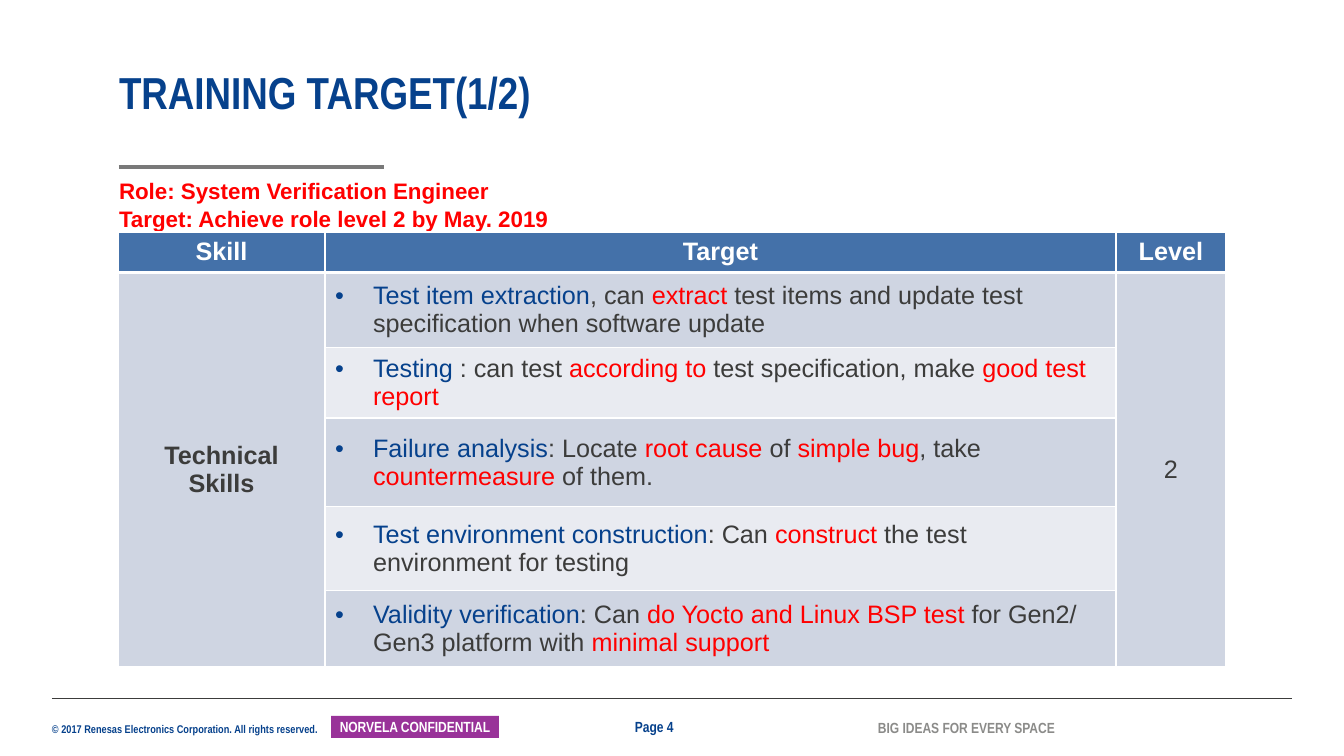
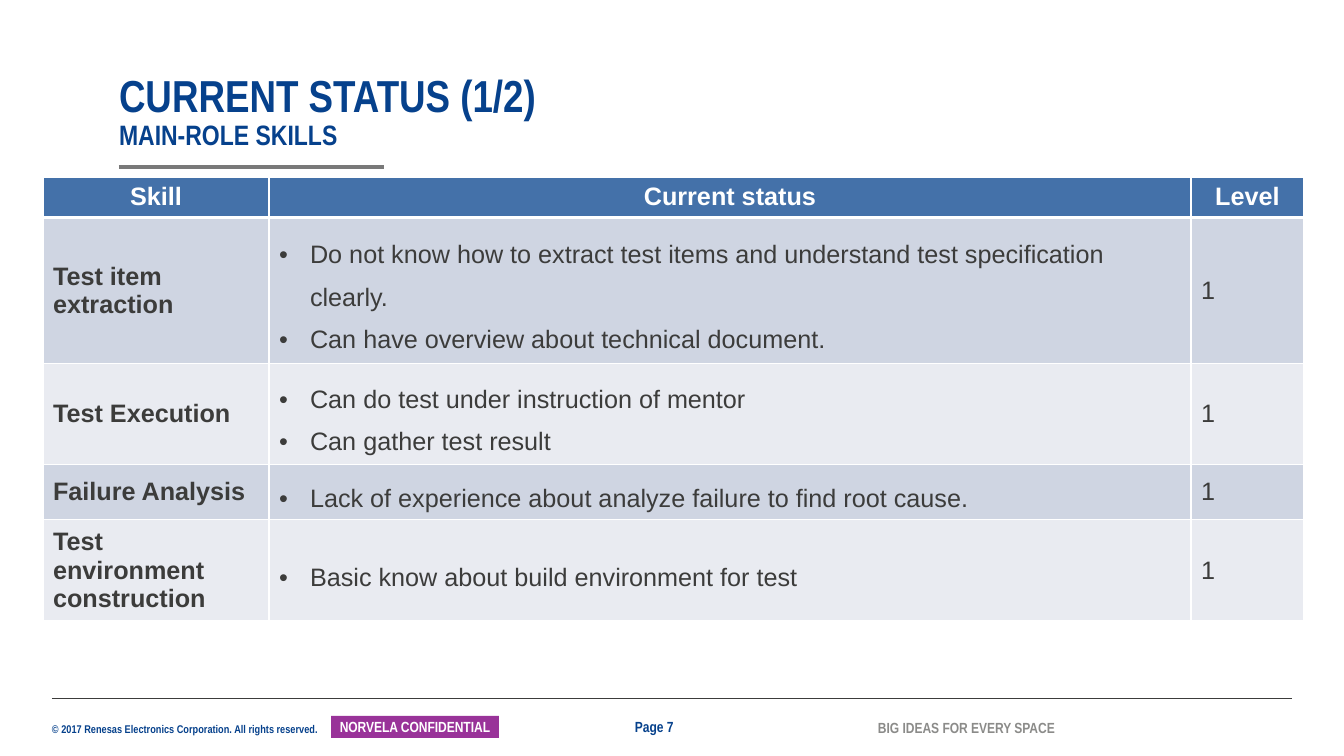
from lxml import etree
from pptx import Presentation
from pptx.dml.color import RGBColor
from pptx.enum.shapes import MSO_CONNECTOR, MSO_SHAPE
from pptx.enum.text import MSO_ANCHOR, PP_ALIGN
from pptx.oxml.ns import qn
from pptx.util import Emu, Pt

LEFT, CENTER = PP_ALIGN.LEFT, PP_ALIGN.CENTER
TOP, MIDDLE, BOTTOM = MSO_ANCHOR.TOP, MSO_ANCHOR.MIDDLE, MSO_ANCHOR.BOTTOM
STRAIGHT, RECTANGLE = MSO_CONNECTOR.STRAIGHT, MSO_SHAPE.RECTANGLE
PX = 914400 / 100.8
NARROW = "Arial Narrow"
COLORS = {
    "blue": "06418C", "red": "FF0000", "dark": "3C3C3B", "white": "FFFFFF",
    "gray": "8B8B89", "rule": "797979", "purple": "993399",
    "header": "4471A9", "band": "CFD5E2", "light": "E9EBF1",
}


def px(*lengths):
    return [Emu(round(length * PX)) for length in lengths]


def write(frame, paragraphs, size=18, color="dark", bold=False, font="Arial",
          align=LEFT, anchor=MIDDLE, spacing=None, before=0, bullet=0,
          inset=None, wrap=True):
    frame.word_wrap = wrap
    frame.vertical_anchor = anchor
    if inset is not None:
        frame.margin_left, frame.margin_right = px(inset, inset)
        frame.margin_top = frame.margin_bottom = 0
    for index, content in enumerate(paragraphs):
        paragraph = frame.add_paragraph() if index else frame.paragraphs[0]
        if bullet:
            properties = paragraph._p.get_or_add_pPr()
            indent = px(bullet)[0]
            properties.set("marL", str(indent))
            properties.set("indent", str(-indent))
            etree.SubElement(properties, qn("a:buFont")).set("typeface", "Arial")
            etree.SubElement(properties, qn("a:buChar")).set("char", "•")
        paragraph.alignment = align
        if spacing:
            paragraph.line_spacing = spacing
        if index and before:
            paragraph.space_before = Pt(before)
        runs = [(content, color)] if isinstance(content, str) else content
        for text, run_color in runs:
            run = paragraph.add_run()
            run.text = text
            run.font.size = Pt(size)
            run.font.bold = bold
            run.font.name = font
            run.font.color.rgb = RGBColor.from_string(COLORS[run_color])


SLIDES = [
    {
        "title": ["TRAINING TARGET(1/2)"],
        "title_height": 46,
        "page": "Page 4",
        "role": ["Role: System Verification Engineer",
                 "Target: Achieve role level 2 by May. 2019"],
        "origin": (118, 232),
        "columns": [207, 791, 110],
        "heights": [39, 75, 67, 89, 84, 76],
        "header": ["Skill", "Target", "Level"],
        "align": CENTER,
        "bullet": 38,
        "spacing": None,
        "merged": True,
        "rows": [
            ("Technical Skills",
             [[("Test item extraction", "blue"), (", can ", "dark"), ("extract ", "red"),
               ("test items and update test specification when software update", "dark")]],
             "2"),
            (None,
             [[("Testing", "blue"), (" : can test ", "dark"), ("according to", "red"),
               (" test specification, make ", "dark"), ("good test report", "red")]],
             None),
            (None,
             [[("Failure analysis", "blue"), (": Locate ", "dark"), ("root cause ", "red"),
               ("of ", "dark"), ("simple bug", "red"), (", take ", "dark"),
               ("countermeasure", "red"), (" of them.", "dark")]],
             None),
            (None,
             [[("Test environment construction", "blue"), (": Can ", "dark"),
               ("construct", "red"), (" the test environment for testing", "dark")]],
             None),
            (None,
             [[("Validity verification", "blue"), (": Can ", "dark"),
               ("do Yocto and Linux BSP test", "red"),
               (" for Gen2/ Gen3 platform with ", "dark"), ("minimal support", "red")]],
             None),
        ],
    },
    {
        "title": ["CURRENT STATUS (1/2)", "MAIN-ROLE SKILLS"],
        "title_height": 79,
        "page": "Page 7",
        "role": [],
        "origin": (43, 177),
        "columns": [226, 922, 113],
        "heights": [38, 136, 95, 52, 95],
        "header": ["Skill", "Current status", "Level"],
        "align": LEFT,
        "bullet": 31,
        "spacing": 1.5,
        "merged": False,
        "rows": [
            ("Test item extraction",
             ["Do not know how to extract test items and understand test specification clearly.",
              "Can have overview about technical document."], "1"),
            ("Test Execution",
             ["Can do test under instruction of mentor", "Can gather test result"], "1"),
            ("Failure Analysis",
             ["Lack of experience about analyze failure to find root cause."], "1"),
            ("Test environment construction",
             ["Basic know about build environment for test"], "1"),
        ],
    },
]

presentation = Presentation()
presentation.slide_width, presentation.slide_height = px(1344, 756)

for content in SLIDES:
    slide = presentation.slides.add_slide(presentation.slide_layouts[6])

    for left, right, top, color, width in [(52, 1292, 698, "dark", 0.5),
                                           (119, 384, 167, "rule", 3)]:
        line = slide.shapes.add_connector(STRAIGHT, *px(left, top, right, top))
        line.line.color.rgb = RGBColor.from_string(COLORS[color])
        line.line.width = Pt(width)
        etree.SubElement(line._element.spPr, qn("a:effectLst"))

    label = slide.shapes.add_shape(RECTANGLE, *px(331, 716, 168, 22))
    label.shadow.inherit = False
    label.fill.solid()
    label.fill.fore_color.rgb = RGBColor.from_string(COLORS["purple"])
    label.line.fill.background()
    write(label.text_frame, ["NORVELA CONFIDENTIAL"], size=10.5, color="white",
          bold=True, font=NARROW, align=CENTER, inset=4)

    footers = [
        ((52, 722, 270, 13), "© 2017 Renesas Electronics Corporation. All rights reserved.",
         8, "blue", TOP, False),
        ((635, 718, 74, 18), content["page"], 10.5, "blue", MIDDLE, True),
        ((878, 719, 181, 18), "BIG IDEAS FOR EVERY SPACE", 10.5, "gray", MIDDLE, True),
    ]
    for box, text, size, color, anchor, wrap in footers:
        footer = slide.shapes.add_textbox(*px(*box))
        write(footer.text_frame, [text], size=size, color=color, bold=True,
              font=NARROW, anchor=anchor, inset=0, wrap=wrap)

    title = slide.shapes.add_textbox(*px(119, 73, 992, content["title_height"]))
    write(title.text_frame, content["title"], size=32, color="blue", bold=True,
          font=NARROW, anchor=BOTTOM, spacing=0.9, inset=0)
    for subtitle in title.text_frame.paragraphs[1:]:
        subtitle.runs[0].font.size = Pt(20)

    if content["role"]:
        role = slide.shapes.add_textbox(*px(119, 177, 992, 54))
        write(role.text_frame, content["role"], size=16, color="red", bold=True,
              anchor=TOP, before=1, inset=0)

    columns, heights = content["columns"], content["heights"]
    table = slide.shapes.add_table(
        len(heights), len(columns),
        *px(*content["origin"], sum(columns), sum(heights))).table
    table.first_row = table.horz_banding = False
    for column, width in zip(table.columns, px(*columns)):
        column.width = width
    for row, height in zip(table.rows, px(*heights)):
        row.height = height
    if content["merged"]:
        for column in (0, 2):
            table.cell(1, column).merge(table.cell(len(heights) - 1, column))

    for row, values in enumerate([content["header"], *content["rows"]]):
        fill = "header" if row == 0 else "band" if row % 2 else "light"
        for column, value in enumerate(values):
            cell = table.cell(row, column)
            properties = cell._tc.get_or_add_tcPr()
            for side in "LRTB":
                heavy = (row, side) in [(0, "B"), (1, "T")]
                border = etree.SubElement(properties, qn(f"a:ln{side}"))
                border.set("w", str(Pt(3 if heavy else 1)))
                solid = etree.SubElement(border, qn("a:solidFill"))
                etree.SubElement(solid, qn("a:srgbClr")).set("val", COLORS["white"])
            cell.fill.solid()
            cell.fill.fore_color.rgb = RGBColor.from_string(COLORS[fill])
            cell.vertical_anchor = MIDDLE
            if value is None:
                continue
            if row == 0:
                write(cell.text_frame, [value], color="white", bold=True, align=CENTER)
            elif column == 1:
                write(cell.text_frame, value, bullet=content["bullet"],
                      spacing=content["spacing"])
            else:
                write(cell.text_frame, [value], bold=column == 0, align=content["align"])

presentation.save("out.pptx")
